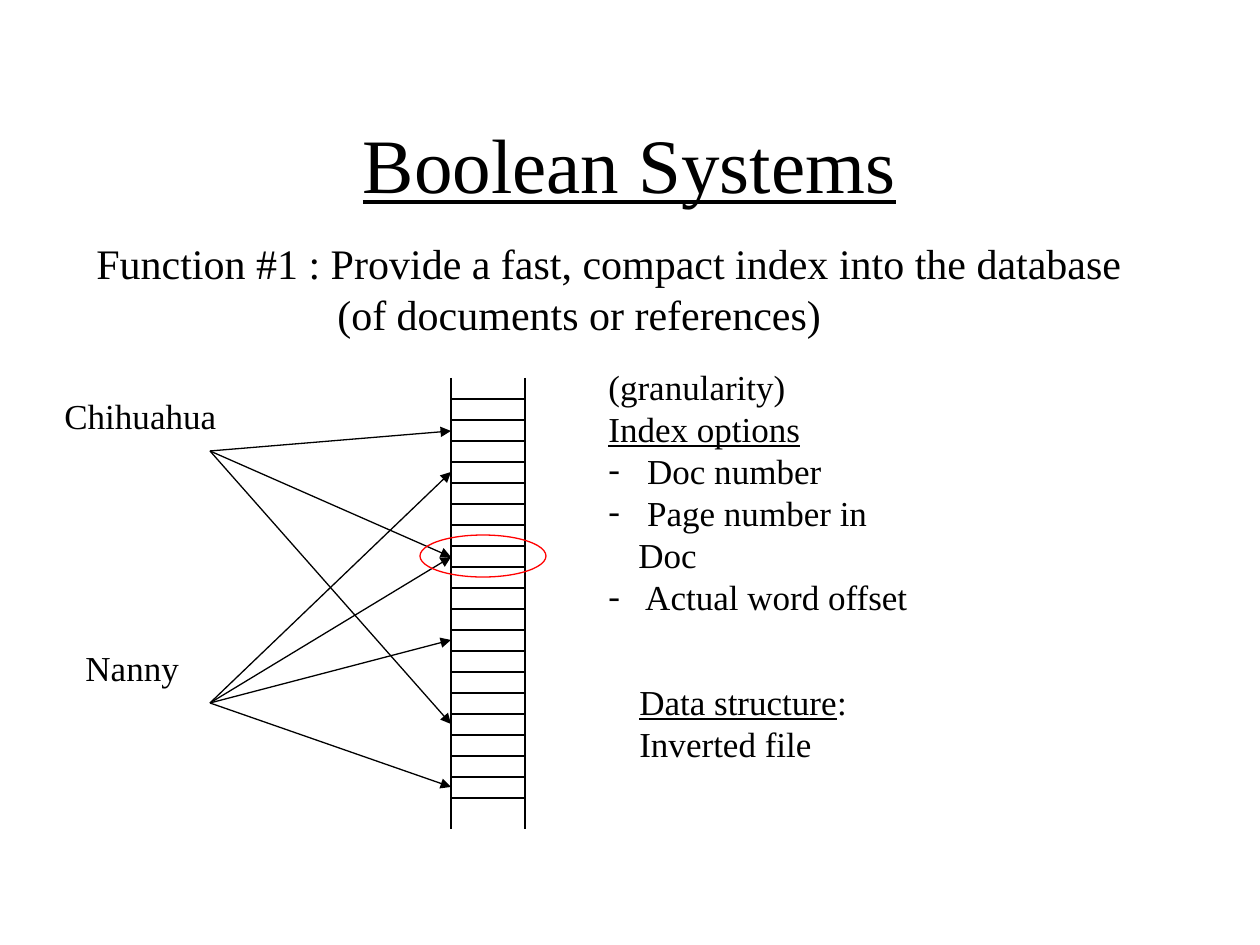
from lxml import etree
from pptx import Presentation, util as u
from pptx.dml.color import RGBColor
from pptx.enum import shapes, text
from pptx.oxml.ns import qn

PX = 914400 // 126
FONT = "Times New Roman"
INK = {"black": "000000", "red": "FF0000"}

deck = Presentation()
deck.slide_width, deck.slide_height = u.Inches(10), u.Inches(7.5)
slide = deck.slides.add_slide(deck.slide_layouts[5])


def link(x1, y1, x2, y2, arrow=False):
    line = slide.shapes.add_connector(
        shapes.MSO_CONNECTOR.STRAIGHT, x1 * PX, y1 * PX, x2 * PX, y2 * PX)
    line.line.color.rgb = RGBColor.from_string(INK["black"])
    line.line.width = u.Pt(0.75)
    if arrow:
        etree.SubElement(line.line._get_or_add_ln(), qn("a:tailEnd"), type="triangle")
    etree.SubElement(line._element.spPr, qn("a:effectLst"))


def write(box, words, size):
    frame = box.text_frame
    frame.text = words
    frame.word_wrap = True
    for para in frame.paragraphs:
        for run in para.runs:
            run.font.size = u.Pt(size)
            run.font.name = FONT
            run.font.color.rgb = RGBColor.from_string(INK["black"])
    return frame.paragraphs


title = slide.shapes.title
title.left, title.top, title.width, title.height = [n * PX for n in (94, 84, 1071, 158)]
head = write(title, "Boolean Systems", 44)[0]
head.alignment = text.PP_ALIGN.CENTER
head.runs[0].font.underline = True
title.text_frame.vertical_anchor = text.MSO_ANCHOR.MIDDLE

goal = slide.shapes.add_textbox(84 * PX, 231 * PX, 1113 * PX, 110 * PX)
lines = write(goal, "Function #1 : Provide a fast, compact index into the database\n"
              "(of documents or references)", 24)
lines[1].space_before = u.Pt(0.5)
lines[1]._p.get_or_add_pPr().set("marL", str(241 * PX))

fans = [(451, (431, 557, 724)), (703, (472, 557, 640, 787))]
for start, ends in fans:
    for end in ends:
        link(210, start, 451, end, arrow=True)

for x in (451, 525):
    link(x, 378, x, 829)
for row in range(20):
    y = 399 + row * 21
    link(451, y, 525, y)

ring = slide.shapes.add_shape(
    shapes.MSO_SHAPE.OVAL, 420 * PX, 535 * PX, 126 * PX, 42 * PX)
ring.shadow.inherit = False
ring.fill.background()
ring.line.color.rgb = RGBColor.from_string(INK["red"])
ring.line.width = u.Pt(0.75)

for word, x, y, w in (("Chihuahua", 52, 388, 190), ("Nanny", 73, 640, 130)):
    term = slide.shapes.add_textbox(x * PX, y * PX, w * PX, 55 * PX)
    write(term, word, 20)

notes = slide.shapes.add_textbox(596 * PX, 359 * PX, 333 * PX, 264 * PX)
lines = write(notes, "(granularity)\nIndex options\n Doc number\n"
              " Page number in Doc\n Actual word offset", 20)
lines[1].runs[0].font.underline = True
for para in lines[2:]:
    props = para._p.get_or_add_pPr()
    props.set("marL", str(30 * PX))
    props.set("indent", str(-30 * PX))
    etree.SubElement(props, qn("a:buFont"), typeface=FONT)
    etree.SubElement(props, qn("a:buChar"), char="-")

store = slide.shapes.add_textbox(627 * PX, 674 * PX, 250 * PX, 97 * PX)
lines = write(store, "Data structure\nInverted file", 20)
lines[0].runs[0].font.underline = True
colon = lines[0].add_run()
colon.text = ":"
colon.font.size = u.Pt(20)
colon.font.name = FONT
colon.font.color.rgb = RGBColor.from_string(INK["black"])

deck.save("out.pptx")
